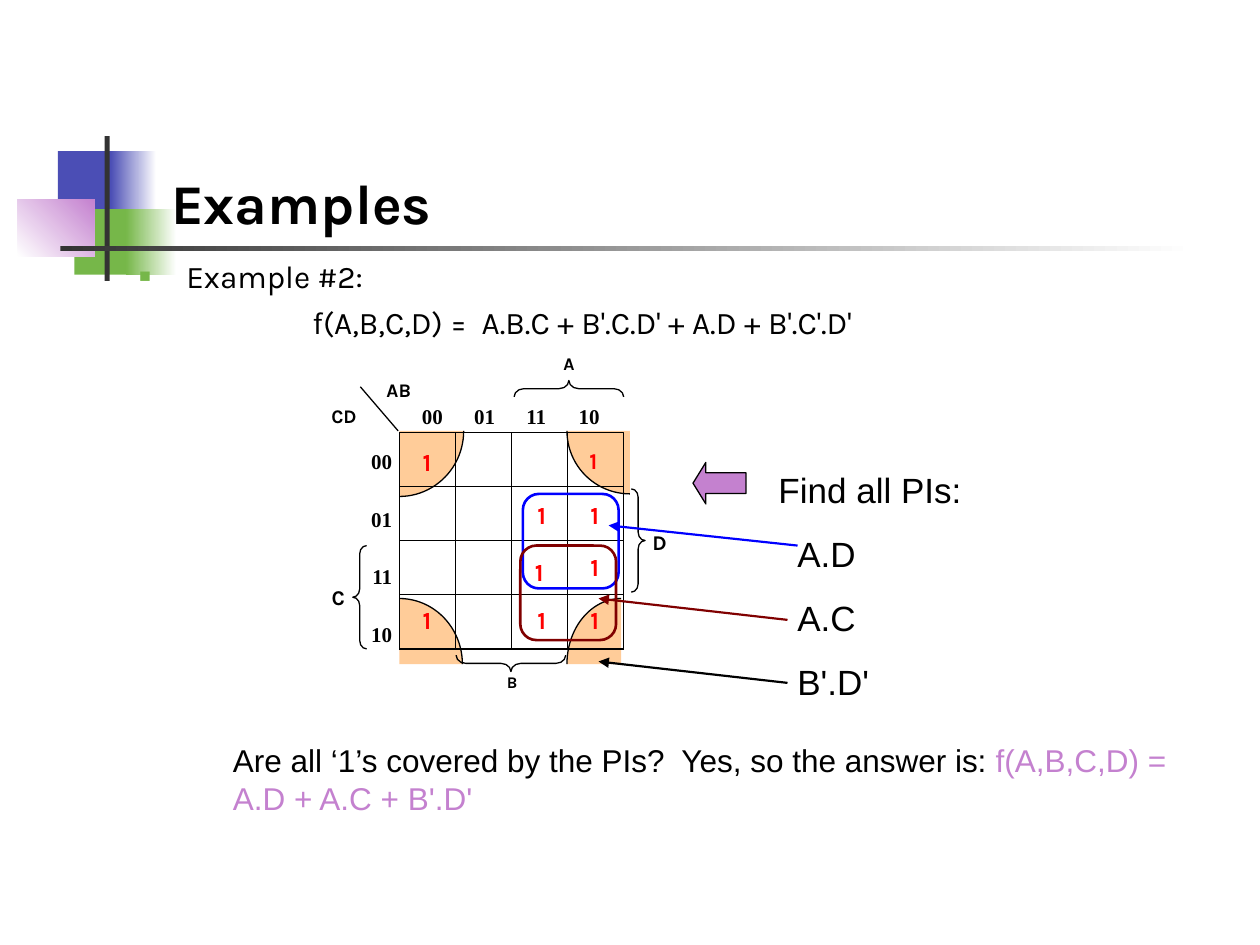
from copy import deepcopy
from math import cos, pi, sin

from lxml.etree import SubElement
from pptx import Presentation
from pptx.dml.color import RGBColor
from pptx.enum.shapes import MSO_CONNECTOR, MSO_SHAPE
from pptx.enum.text import MSO_ANCHOR, PP_ALIGN
from pptx.oxml.ns import qn
from pptx.util import Inches, Pt

BLACK = RGBColor(0x00, 0x00, 0x00)
WHITE = RGBColor(0xFF, 0xFF, 0xFF)
INDIGO = RGBColor(0x4B, 0x4E, 0xB5)
GREEN = RGBColor(0x76, 0xB7, 0x49)
PURPLE = RGBColor(0xC4, 0x81, 0xCF)
CHARCOAL = RGBColor(0x33, 0x33, 0x33)
PEACH = RGBColor(0xFF, 0xCC, 0x99)
RED = RGBColor(0xFF, 0x00, 0x00)
BLUE = RGBColor(0x00, 0x00, 0xFF)
MAROON = RGBColor(0x80, 0x00, 0x00)

DECORATION = [
    ((0.46, 1.2, 0.48, 0.52), [INDIGO], 0),
    ((0.88, 1.2, 0.36, 0.52), [INDIGO, WHITE], 0),
    ((0.59, 1.66, 0.46, 0.52), [GREEN], 0),
    ((1, 1.66, 0.4, 0.52), [GREEN, WHITE], 0),
    ((0.14, 1.58, 0.61, 0.46), [WHITE, PURPLE], 45),
    ((0.83, 1.08, 0.04, 1.15), [CHARCOAL], 0),
    ((0.48, 1.95, 9, 0.04), [CHARCOAL, WHITE], 0),
]
TITLE = "Examples"
EXAMPLE = "Example #2:"
FORMULA = "f(A,B,C,D) =  A.B.C + B'.C.D' + A.D + B'.C'.D'"
FIND = "Find all PIs:"
IMPLICANTS = ["A.D", "A.C", "B'.D'"]
QUESTION = "Are all ‘1’s covered by the PIs?  Yes, so the answer is: "
ANSWER = "f(A,B,C,D) = A.D + A.C + B'.D'"

MAP_LEFT, MAP_TOP, MAP_WIDTH, MAP_HEIGHT = 3.17, 3.43, 1.78, 1.72
GRAY_CODE = ["00", "01", "11", "10"]
QUARTERS = [
    ((4.93, 5.27), (0.43, 0.52), 180),
    ((3.17, 5.27), (0.5, 0.52), 270),
    ((5, 3.42), (0.5, 0.5), 90),
    ((3.17, 3.42), (0.51, 0.52), 0),
]
ONES = [
    (3.17, 3.5, 14), (4.49, 3.5, 12.9),
    (4.08, 3.92, 14), (4.5, 3.92, 14),
    (4.06, 4.37, 14), (4.5, 4.33, 14),
    (3.17, 4.75, 14), (4.08, 4.75, 14), (4.5, 4.75, 14),
]
VARIABLES = [
    ("A", (4.35, 2.75, 0.33, 0.27), 10.2),
    ("B", (3.9, 5.29, 0.33, 0.26), 9.3),
    ("C", (2.52, 4.59, 0.33, 0.35), 12),
    ("D", (5.07, 4.15, 0.33, 0.34), 12),
    ("AB", (2.91, 2.95, 0.51, 0.29), 11),
    ("CD", (2.42, 3.16, 0.62, 0.29), 11),
]
BRACES = [
    (MSO_SHAPE.LEFT_BRACE, (4.45, 2.65, 0.13, 0.87), 90),
    (MSO_SHAPE.LEFT_BRACE, (3.99, 4.83, 0.13, 0.87), 270),
    (MSO_SHAPE.LEFT_BRACE, (2.8, 4.33, 0.11, 0.82), 0),
    (MSO_SHAPE.RIGHT_BRACE, (5.01, 3.88, 0.11, 0.82), 0),
]
LOOPS = [((4.15, 3.92, 0.76, 0.75), BLUE), ((4.13, 4.33, 0.76, 0.75), MAROON)]
POINTERS = [
    ((6.33, 4.33), (4.83, 4.17), BLUE),
    ((6.25, 4.92), (4.75, 4.75), MAROON),
    ((6.25, 5.42), (4.75, 5.25), BLACK),
]

presentation = Presentation()
presentation.slide_width, presentation.slide_height = Inches(10), Inches(7.5)
slide = presentation.slides.add_slide(presentation.slide_layouts[6])
shapes = slide.shapes


def paint(shape, fill=None, line=None, weight=0.75):
    shape.shadow.inherit = False
    if fill is None:
        shape.fill.background()
    else:
        shape.fill.solid()
        shape.fill.fore_color.rgb = fill
    if line is None:
        shape.line.fill.background()
    else:
        shape.line.color.rgb = line
        shape.line.width = Pt(weight)


def add_preset(kind, box, fill=None, line=None, weight=0.75, adjustments=()):
    shape = shapes.add_shape(kind, *map(Inches, box))
    paint(shape, fill, line, weight)
    for index, value in enumerate(adjustments):
        shape.adjustments[index] = value
    return shape


def add_line(start, end, color=BLACK, weight=0.75, arrow=False):
    line = shapes.add_connector(MSO_CONNECTOR.STRAIGHT, *map(Inches, start + end))
    line.line.color.rgb = color
    line.line.width = Pt(weight)
    if arrow:
        SubElement(line.line._get_or_add_ln(), qn("a:tailEnd"), type="triangle")
    SubElement(line._element.spPr, qn("a:effectLst"))


def add_frame(box, anchor=MSO_ANCHOR.TOP):
    frame = shapes.add_textbox(*map(Inches, box)).text_frame
    frame.word_wrap = True
    frame.vertical_anchor = anchor
    return frame


def write(paragraph, text, name, size, color=BLACK, bold=False, **layout):
    run = paragraph.add_run()
    run.text = text
    for key, value in {"name": name, "size": Pt(size), "bold": bold}.items():
        setattr(run.font, key, value)
    run.font.color.rgb = color
    for key, value in layout.items():
        setattr(paragraph, key, value)


def add_label(text, box, size, color=BLACK):
    write(add_frame(box).paragraphs[0], text, "Karla", size, color, True, alignment=PP_ALIGN.CENTER)


def add_quarter(center, radii, start):
    ends = [
        [Inches(c + r * turn(angle * pi / 180)) for c, r, turn in zip(center, radii, (cos, sin))]
        for angle in (start, start + 90)
    ]
    builder = shapes.build_freeform(*ends[0], scale=1)
    builder.add_line_segments([ends[1], list(map(Inches, center))], close=True)
    quarter = builder.convert_to_shape()
    paint(quarter, PEACH, BLACK)
    wedge = quarter._element.spPr.find(".//" + qn("a:path"))
    arc = SubElement(wedge, qn("a:arcTo"), wR=str(Inches(radii[0])), hR=str(Inches(radii[1])),
                     stAng=str(start * 60000), swAng=str(90 * 60000))
    wedge.replace(wedge[1], arc)
    edge = deepcopy(wedge)
    for closing in edge[-2:]:
        edge.remove(closing)
    edge.set("fill", "none")
    wedge.set("stroke", "0")
    wedge.addprevious(edge)


for box, colors, angle in DECORATION:
    block = add_preset(MSO_SHAPE.RECTANGLE, box, colors[0])
    if len(colors) > 1:
        block.fill.gradient()
        block.fill.gradient_angle = angle
        for stop, color in zip(block.fill.gradient_stops, colors):
            stop.color.rgb = color

title = add_frame((1.26, 0.67, 8.52, 1.25), MSO_ANCHOR.BOTTOM)
write(title.paragraphs[0], TITLE, "Karla", 32, bold=True)

body = add_frame((1, 1.99, 8.75, 1.01))
example = body.paragraphs[0]
properties = example._p.get_or_add_pPr()
properties.set("marL", str(Inches(0.38)))
properties.set("indent", str(-Inches(0.38)))
SubElement(SubElement(properties, qn("a:buClr")), qn("a:srgbClr"), val=str(GREEN))
SubElement(properties, qn("a:buSzPct"), val="120000")
SubElement(properties, qn("a:buFont"), typeface="Arial")
SubElement(properties, qn("a:buChar"), char="▪")
write(example, EXAMPLE, "Karla", 18)
formula = body.add_paragraph()
formula._p.get_or_add_pPr().set("marL", str(Inches(1.38)))
write(formula, FORMULA, "Karla", 18, space_before=Pt(4.5))

implicants = add_frame((6.08, 3.67, 2.75, 1.96))
write(implicants.paragraphs[0], FIND, "Arial", 20)
for implicant in IMPLICANTS:
    paragraph = implicants.add_paragraph()
    paragraph._p.get_or_add_pPr().set("marL", str(Inches(0.15)))
    write(paragraph, implicant, "Arial", 20, space_before=Pt(12.5))
add_preset(MSO_SHAPE.LEFT_ARROW, (5.5, 3.67, 0.42, 0.33), PURPLE, BLACK, adjustments=(0.5, 0.31))

for quarter in QUARTERS:
    add_quarter(*quarter)
add_preset(MSO_SHAPE.RECTANGLE, (MAP_LEFT, MAP_TOP, MAP_WIDTH, MAP_HEIGHT), line=BLACK)
for index in range(1, 5):
    x = MAP_LEFT + MAP_WIDTH * index / 4
    y = MAP_TOP + MAP_HEIGHT * index / 4
    add_line((MAP_LEFT, y), (MAP_LEFT + MAP_WIDTH, y))
    if index < 4:
        add_line((x, MAP_TOP), (x, MAP_TOP + MAP_HEIGHT))
add_line((3.16, 3.42), (2.86, 3.07))

columns = add_frame((3.25, 3.15, 1.66, 0.35)).paragraphs[0]
tabs = SubElement(columns._p.get_or_add_pPr(), qn("a:tabLst"))
for index in range(1, len(GRAY_CODE)):
    SubElement(tabs, qn("a:tab"), pos=str(Inches(0.415 * index)), algn="l")
write(columns, "\t".join(GRAY_CODE), "Times New Roman", 12, bold=True)
rows = add_frame((2.82, 3.51, 0.39, 1.79))
for index, code in enumerate(GRAY_CODE):
    row = rows.add_paragraph() if index else rows.paragraphs[0]
    write(row, code, "Times New Roman", 12, bold=True, alignment=PP_ALIGN.RIGHT,
          space_before=Pt(18.5 if index else 0))

for kind, box, rotation in BRACES:
    add_preset(kind, box, line=BLACK, adjustments=(0.6, 0.5)).rotation = rotation
for text, box, size in VARIABLES:
    add_label(text, box, size)
for left, top, size in ONES:
    add_label("1", (left, top, 0.44, 0.34), size, RED)
for box, color in LOOPS:
    add_preset(MSO_SHAPE.ROUNDED_RECTANGLE, box, line=color, weight=1.5, adjustments=(0.17,))
for start, end, color in POINTERS:
    add_line(start, end, color, 1.25, arrow=True)

conclusion = add_frame((1.75, 5.83, 7.75, 0.7)).paragraphs[0]
write(conclusion, QUESTION, "Arial", 18)
write(conclusion, ANSWER, "Arial", 18, PURPLE)

presentation.save("out.pptx")
